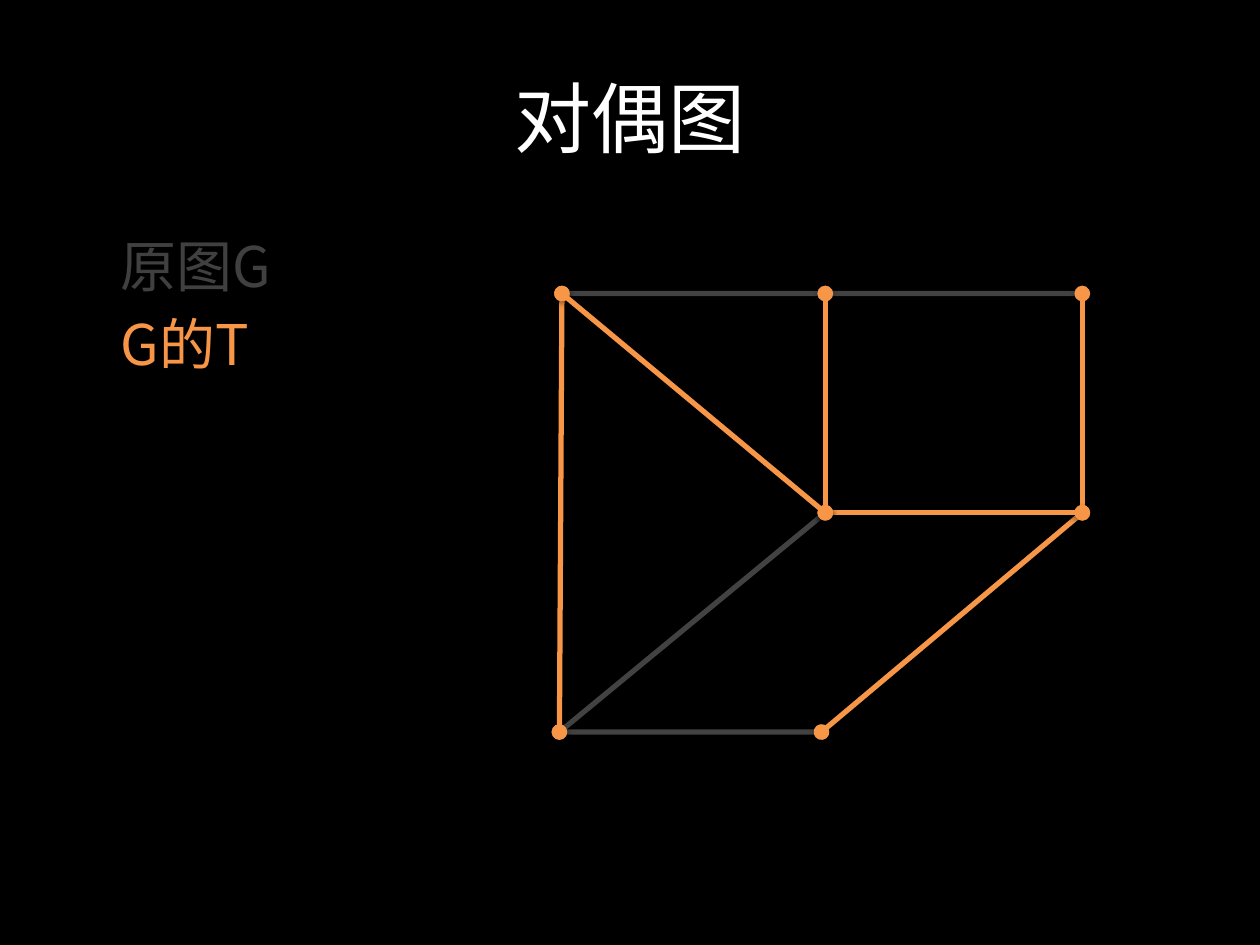
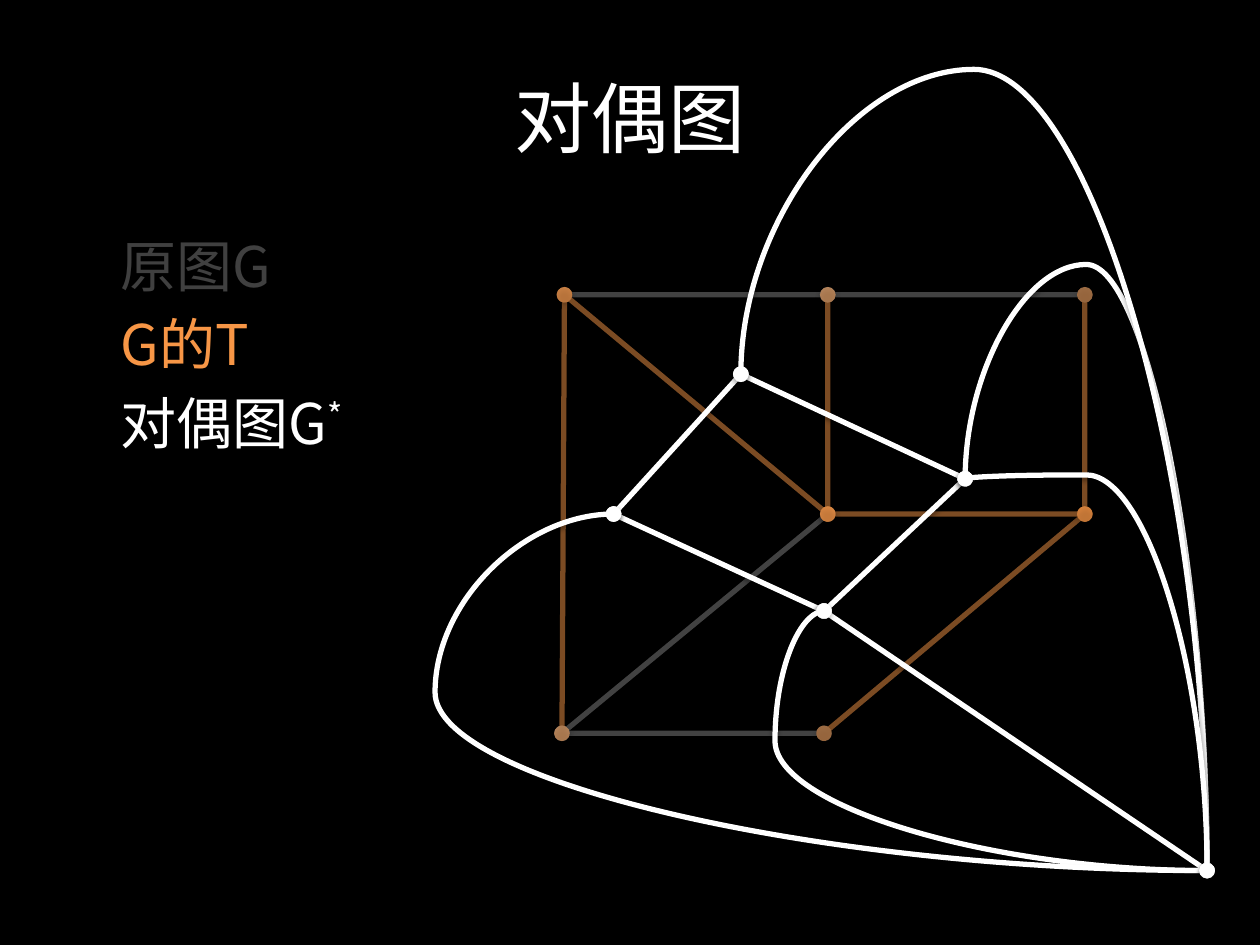
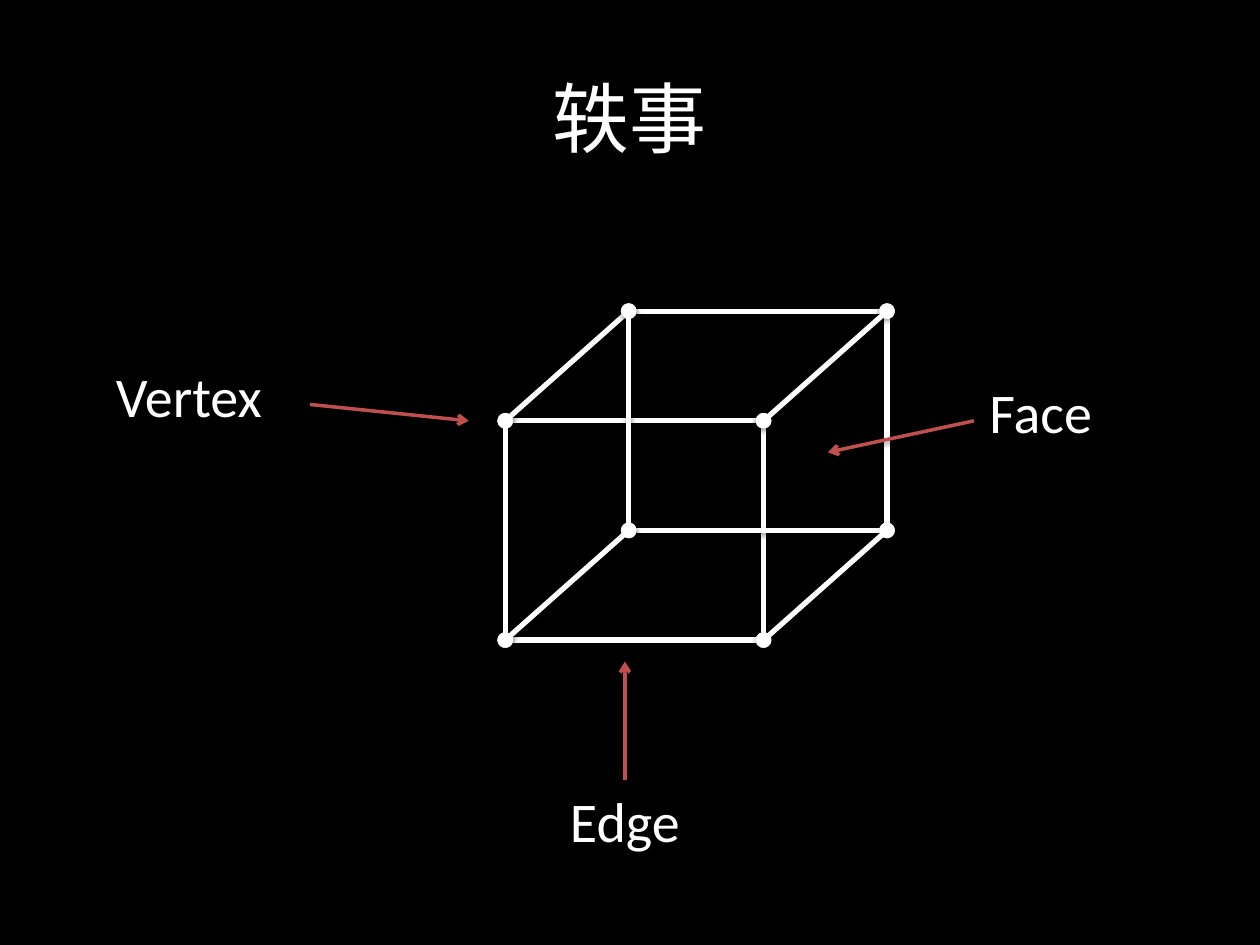
import lxml.etree
import pptx
import pptx.dml.color
import pptx.enum.shapes
import pptx.enum.text
import pptx.oxml.ns
import pptx.util

Inches = pptx.util.Inches
Pt = pptx.util.Pt
qn = pptx.oxml.ns.qn

COLORS = {
    "background": "000000",
    "text": "FFFFFF",
    "muted": "404040",
    "tree": "F79646",
    "dual": "FFFFFF",
    "pointer": "C0504D",
}
CHINESE_FONT = "Noto Sans CJK SC"
LATIN_FONT = "Calibri"

# Graph vertices and faces, in inches from the corner of the graph's box.
VERTICES = {
    "top left": (0.02, 0), "top middle": (2.11, 0), "top right": (4.15, 0),
    "centre": (2.11, 1.74), "right": (4.15, 1.74),
    "bottom left": (0, 3.48), "bottom middle": (2.08, 3.48),
}
OTHER_EDGES = [
    ("bottom left", "bottom middle"), ("top left", "top middle"),
    ("top middle", "top right"), ("bottom left", "centre"),
]
TREE_EDGES = [
    ("right", "top right"), ("bottom middle", "right"), ("centre", "right"),
    ("centre", "top middle"), ("bottom left", "top left"), ("top left", "centre"),
]
FACES = {
    "upper": (1.42, 0.63), "left": (0.41, 1.74), "right": (3.2, 1.46),
    "lower": (2.08, 2.51), "outer": (5.12, 4.57),
}
DUAL_EDGES = [
    ("upper", "right"), ("left", "lower"), ("right", "lower"),
    ("upper", "left"), ("lower", "outer"),
]
# Each curve has the x or y at which it bulges furthest.
SIDEWAYS_CURVES = [("lower", "outer", 1.69), ("left", "outer", -1.01)]
UPWARD_CURVES = [("outer", "right", -0.24), ("outer", "upper", -1.79), ("outer", "right", 1.43)]


def rgb(name):
    return pptx.dml.color.RGBColor.from_string(COLORS[name])


def add_element(parent, tag, **attributes):
    element = lxml.etree.SubElement(parent, qn(tag))
    for name, value in attributes.items():
        element.set(name, str(value))
    return element


def add_shadow(connector):
    effects = add_element(connector._element.spPr, "a:effectLst")
    shadow = add_element(effects, "a:outerShdw", blurRad=Pt(3.1), dist=Pt(1.6),
                         dir=5400000, rotWithShape=0)
    color = add_element(shadow, "a:srgbClr", val="000000")
    add_element(color, "a:alpha", val=38000)


def add_line(shapes, start, end, color, opacity=100, width=3, ends=("oval", "oval"),
             kind=pptx.enum.shapes.MSO_CONNECTOR.STRAIGHT):
    connector = shapes.add_connector(kind, *(Inches(value) for value in (*start, *end)))
    connector.line.width = Pt(width)
    connector.line.color.rgb = rgb(color)
    line = connector.line._ln
    if opacity < 100:
        add_element(line.find(".//" + qn("a:srgbClr")), "a:alpha", val=opacity * 1000)
    for tag, end_type in zip(("a:headEnd", "a:tailEnd"), ends):
        if end_type:
            add_element(line, tag, type=end_type)
    add_shadow(connector)
    return connector


def add_curve(shapes, start, end, bulge, upward):
    """Draw a curve that leaves start sideways, or upward, as far as bulge."""
    axis = 1 if upward else 0
    reach = (bulge - start[axis]) / (end[axis] - start[axis])
    if upward:
        center_x, center_y = (start[0] + end[0]) / 2, (start[1] + end[1]) / 2
        half_width, half_height = (start[1] - end[1]) / 2, (start[0] - end[0]) / 2
        start = (center_x - half_width, center_y + half_height)
        end = (center_x + half_width, center_y - half_height)
    connector = add_line(shapes, start, end, "dual",
                         kind=pptx.enum.shapes.MSO_CONNECTOR.CURVE)
    properties = connector._element.spPr
    if upward:
        properties.find(qn("a:xfrm")).set("rot", str(270 * 60000))
    guides = properties.find(qn("a:prstGeom")).find(qn("a:avLst"))
    add_element(guides, "a:gd", name="adj1", fmla=f"val {round(reach * 100000)}")


def format_run(run, size, font, color):
    run.font.size = Pt(size)
    run.font.name = font
    run.font.color.rgb = rgb(color)
    add_element(run._r.get_or_add_rPr(), "a:ea", typeface=font)


def add_titled_slide(presentation, title):
    slide = presentation.slides.add_slide(presentation.slide_layouts[5])
    shape = slide.shapes.title
    shape.left, shape.top, shape.width, shape.height = map(Inches, (0.5, 0.3, 9, 1.25))
    frame = shape.text_frame
    frame.text = title
    frame.vertical_anchor = pptx.enum.text.MSO_ANCHOR.MIDDLE
    frame.paragraphs[0].alignment = pptx.enum.text.PP_ALIGN.CENTER
    format_run(frame.paragraphs[0].runs[0], 44, CHINESE_FONT, "text")
    return slide


def add_text_frame(slide, left, top, width, height):
    frame = slide.shapes.add_textbox(*map(Inches, (left, top, width, height))).text_frame
    frame.word_wrap = True
    return frame


def add_legend(slide, entries):
    """List (text, superscript, color) entries down the left side."""
    frame = add_text_frame(slide, 0.86, 1.75, 2.46, 4.95)
    for index, (text, superscript, color) in enumerate(entries):
        paragraph = frame.add_paragraph() if index else frame.paragraphs[0]
        paragraph.line_spacing = Pt(41)
        if index:
            paragraph.space_before = Pt(4)
        paragraph.text = text
        if superscript:
            raised = paragraph.add_run()
            raised.text = superscript
            raised._r.get_or_add_rPr().set("baseline", "30000")
        for run in paragraph.runs:
            format_run(run, 32, CHINESE_FONT, color)


def shift(points, left, top):
    return {name: (left + x, top + y) for name, (x, y) in points.items()}


def add_graph(shapes, left, top, tree_opacity):
    vertices = shift(VERTICES, left, top)
    for edges, color, opacity in ((OTHER_EDGES, "text", 25), (TREE_EDGES, "tree", tree_opacity)):
        for start, end in edges:
            add_line(shapes, vertices[start], vertices[end], color, opacity)


def add_dual_graph(shapes, left, top):
    faces = shift(FACES, left, top)
    for start, end in DUAL_EDGES:
        add_line(shapes, faces[start], faces[end], "dual")
    for start, end, bulge in SIDEWAYS_CURVES:
        add_curve(shapes, faces[start], faces[end], left + bulge, upward=False)
    for start, end, bulge in UPWARD_CURVES:
        add_curve(shapes, faces[start], faces[end], top + bulge, upward=True)


def add_cube(shapes, left, top, width, height, depth_x, depth_y):
    """Draw a wire cube whose front face has the given box."""
    front = [(left, top), (left + width, top),
             (left + width, top + height), (left, top + height)]
    back = [(x + depth_x, y + depth_y) for x, y in front]
    for index in range(4):
        following = (index + 1) % 4
        add_line(shapes, front[index], front[following], "text")
        add_line(shapes, back[index], back[following], "text")
        add_line(shapes, front[index], back[index], "text")


def add_cube_label(slide, text, left, top, arrow_start, arrow_end):
    frame = add_text_frame(slide, left, top, 1.9, 0.78)
    frame.text = text
    frame.paragraphs[0].alignment = pptx.enum.text.PP_ALIGN.CENTER
    format_run(frame.paragraphs[0].runs[0], 32, LATIN_FONT, "text")
    add_line(slide.shapes, arrow_start, arrow_end, "pointer", width=2, ends=(None, "arrow"))


def main():
    presentation = pptx.Presentation()
    presentation.slide_width, presentation.slide_height = Inches(10), Inches(7.5)
    background = presentation.slide_master.background.fill
    background.solid()
    background.fore_color.rgb = rgb("background")

    legend = [("原图G", "", "muted"), ("G的T", "", "tree")]
    tree_slide = add_titled_slide(presentation, "对偶图")
    add_graph(tree_slide.shapes.add_group_shape().shapes, 4.44, 2.33, tree_opacity=100)
    add_legend(tree_slide, legend)

    dual_slide = add_titled_slide(presentation, "对偶图")
    add_graph(dual_slide.shapes, 4.46, 2.34, tree_opacity=50)
    add_dual_graph(dual_slide.shapes, 4.46, 2.34)
    add_legend(dual_slide, legend + [("对偶图G", "*", "text")])

    cube_slide = add_titled_slide(presentation, "轶事")
    add_cube(cube_slide.shapes, 4.01, 3.34, 2.05, 1.74, 0.98, -0.87)
    add_cube_label(cube_slide, "Vertex", 0.55, 2.82, (2.46, 3.21), (3.72, 3.34))
    add_cube_label(cube_slide, "Edge", 4.01, 6.19, (4.96, 6.19), (4.96, 5.25))
    add_cube_label(cube_slide, "Face", 7.31, 2.95, (7.73, 3.34), (6.57, 3.59))

    presentation.save("out.pptx")


if __name__ == "__main__":
    main()
